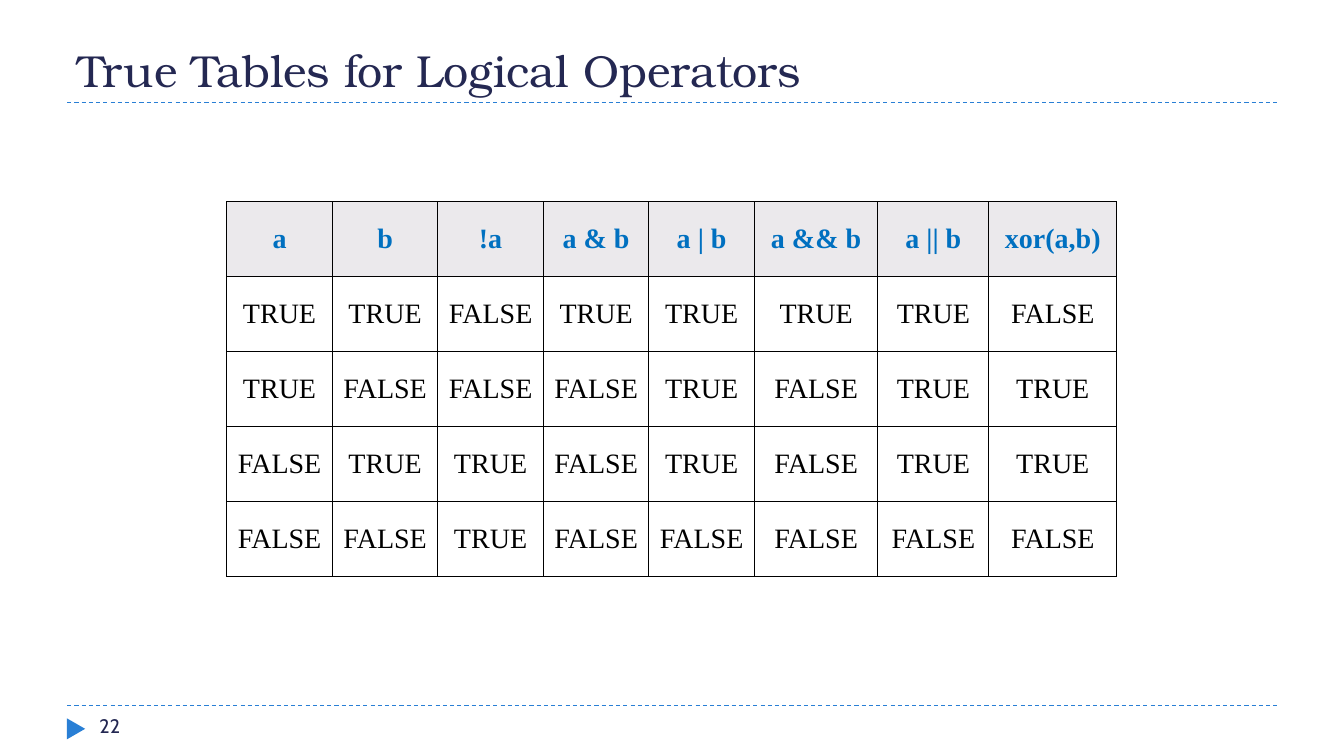
import itertools

import pptx
import pptx.dml.color
import pptx.enum.dml
import pptx.enum.shapes
import pptx.enum.text
import pptx.oxml
import pptx.oxml.ns
import pptx.util
from lxml import etree

Pt = pptx.util.Pt
RGBColor = pptx.dml.color.RGBColor
ANCHOR = pptx.enum.text.MSO_ANCHOR
ALIGN = pptx.enum.text.PP_ALIGN

NAVY = RGBColor(0x24, 0x28, 0x52)
BLUE = RGBColor(0x29, 0x7F, 0xD5)
HEADER_BLUE = RGBColor(0x00, 0x70, 0xC0)
HEADER_FILL = RGBColor(0xEB, 0xE9, 0xEC)
BLACK = RGBColor(0, 0, 0)

HEADERS = ["a", "b", "!a", "a & b", "a | b", "a && b", "a || b", "xor(a,b)"]
COLUMN_WIDTHS = [75.4] * 5 + [88.2, 79.3, 91.4]
ROW_HEIGHT = 53.57


def write_text(tf, text, *, font, size, color, bold=False,
               align=ALIGN.LEFT):
    p = tf.paragraphs[0]
    p.alignment = align
    r = p.add_run()
    r.text = text
    r.font.name = font
    r.font.size = Pt(size)
    r.font.bold = bold
    r.font.color.rgb = color


def add_text_box(s, text, left, top, width, height, anchor=ANCHOR.TOP, **style):
    tf = s.shapes.add_textbox(Pt(left), Pt(top), Pt(width), Pt(height)).text_frame
    tf.word_wrap = True
    tf.vertical_anchor = anchor
    write_text(tf, text, color=NAVY, **style)


def add_dashed_rule(s, y):
    rule = s.shapes.add_connector(
        pptx.enum.shapes.MSO_CONNECTOR.STRAIGHT, Pt(48), Pt(y), Pt(912), Pt(y))
    rule.line.color.rgb = BLUE
    rule.line.width = Pt(0.75)
    rule.line.dash_style = pptx.enum.dml.MSO_LINE.DASH
    etree.SubElement(rule._element.spPr, pptx.oxml.ns.qn("a:effectLst"))


def add_page_marker(s):
    marker = s.shapes.add_shape(
        pptx.enum.shapes.MSO_SHAPE.ISOSCELES_TRIANGLE,
        Pt(46.8), Pt(514.1), Pt(15), Pt(13))
    marker.rotation = 90
    marker.shadow.inherit = False
    marker.fill.solid()
    marker.fill.fore_color.rgb = BLUE
    marker.line.fill.background()


def set_borders(cell):
    tc_pr = cell._tc.get_or_add_tcPr()
    for side in "LRTB":
        tc_pr.append(pptx.oxml.parse_xml(
            f'<a:ln{side} {pptx.oxml.ns.nsdecls("a")} w="{Pt(1)}"><a:solidFill>'
            f'<a:srgbClr val="{BLACK}"/></a:solidFill></a:ln{side}>'))


def format_cell(cell, text, is_header):
    set_borders(cell)
    cell.margin_left = cell.margin_right = Pt(3.6)
    cell.vertical_anchor = ANCHOR.MIDDLE
    if is_header:
        cell.fill.solid()
        cell.fill.fore_color.rgb = HEADER_FILL
    else:
        cell.fill.background()
    write_text(cell.text_frame, text, font="Times New Roman", size=20,
               color=HEADER_BLUE if is_header else BLACK,
               bold=is_header, align=ALIGN.CENTER)


def truth_rows():
    for a, b in itertools.product([True, False], repeat=2):
        values = [a, b, not a, a and b, a or b, a and b, a or b, a != b]
        yield [str(value).upper() for value in values]


def add_truth_table(s):
    rows = [HEADERS, *truth_rows()]
    table = s.shapes.add_table(
        len(rows), len(HEADERS), Pt(162), Pt(144),
        Pt(sum(COLUMN_WIDTHS)), Pt(ROW_HEIGHT * len(rows))).table
    table.first_row = False
    table.horz_banding = False
    for column, width in zip(table.columns, COLUMN_WIDTHS):
        column.width = Pt(width)
    for i, texts in enumerate(rows):
        table.rows[i].height = Pt(ROW_HEIGHT)
        for j, text in enumerate(texts):
            format_cell(table.cell(i, j), text, is_header=i == 0)


def main():
    prs = pptx.Presentation()
    prs.slide_width = Pt(960)
    prs.slide_height = Pt(540)
    s = prs.slides.add_slide(prs.slide_layouts[6])
    for y in (504, 73.4):
        add_dashed_rule(s, y)
    add_page_marker(s)
    add_text_box(s, "True Tables for Logical Operators", 48, 12.2, 864, 60.5,
                 anchor=ANCHOR.BOTTOM, font="TeX Gyre Bonum", size=32)
    add_text_box(s, "22", 64, 506.2, 208, 23, font="Cabin", size=14)
    add_truth_table(s)
    prs.save("out.pptx")


if __name__ == "__main__":
    main()
